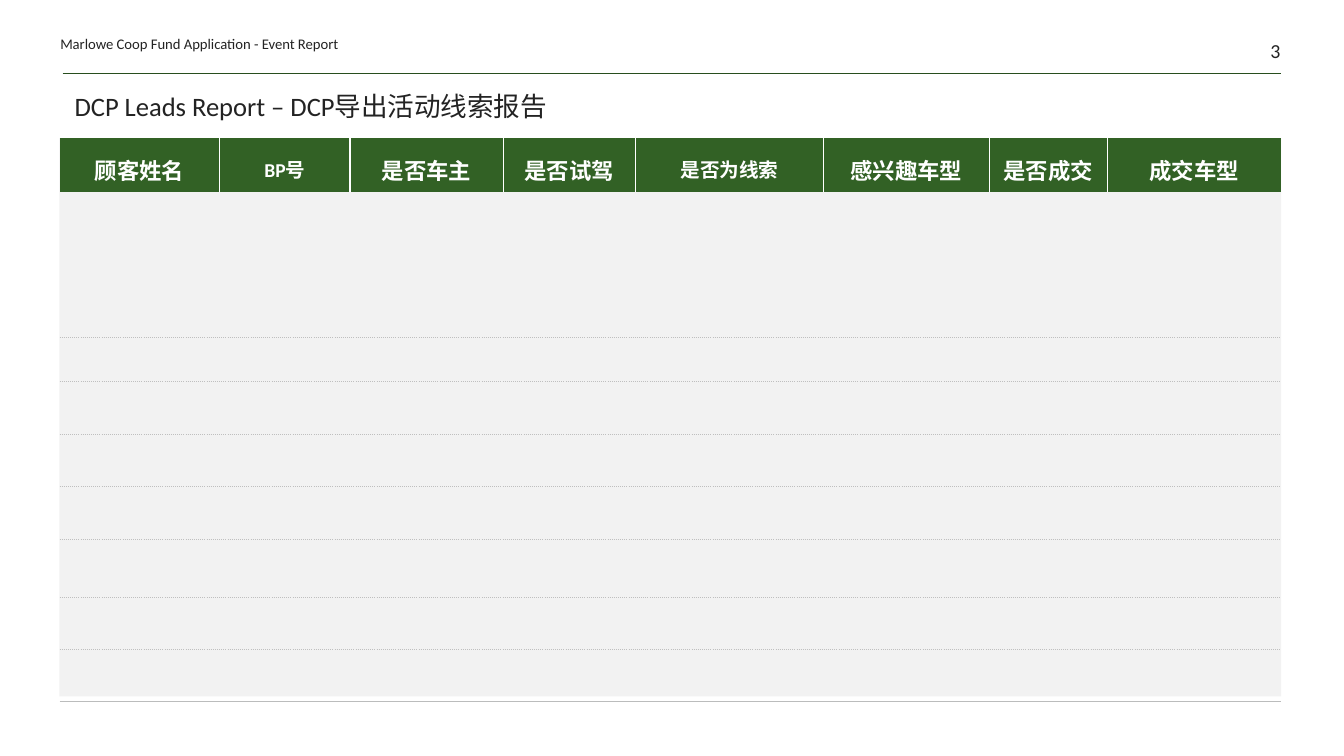
from lxml import etree
from pptx import Presentation
from pptx.dml.color import RGBColor
from pptx.enum.shapes import MSO_CONNECTOR, MSO_SHAPE
from pptx.enum.text import MSO_ANCHOR, PP_ALIGN
from pptx.oxml.ns import qn
from pptx.util import Cm, Pt

LEFT, CENTER, RIGHT = PP_ALIGN.LEFT, PP_ALIGN.CENTER, PP_ALIGN.RIGHT
BOTTOM, MIDDLE = MSO_ANCHOR.BOTTOM, MSO_ANCHOR.MIDDLE
STRAIGHT, RECTANGLE = MSO_CONNECTOR.STRAIGHT, MSO_SHAPE.RECTANGLE
NO_GRID_STYLE = "{2D5ABB26-0587-4C30-8999-92F81FD0307C}"
FONT = "Calibri"
COLORS = {"ink": "232323", "rule": "284E1E", "header": "326125", "panel": "F2F2F2",
          "white": "FFFFFF", "dots": "BFBFBF", "base": "BBBCBC"}

COLUMNS = [
    ("顾客姓名", 16, 4.04), ("BP号", 14, 3.28), ("是否车主", 16, 3.86), ("是否试驾", 16, 3.33),
    ("是否为线索", 14, 4.75), ("感兴趣车型", 16, 4.17), ("是否成交", 16, 2.97), ("成交车型", 16, 4.39),
]
ROW_HEIGHTS = [1.36, 1.17, 1.37, 1.12, 1.11, 1.33, 1.32, 1.32, 1.46, 1.32, 1.32]
FIRST_DOTTED_ROW = 3
TABLE_LEFT, TABLE_TOP = 1.5, 3.48
TABLE_WIDTH = sum(width for _, _, width in COLUMNS)
TABLE_RIGHT = TABLE_LEFT + TABLE_WIDTH
PANEL_HEIGHT = 14.07
RULE_LEFT, RULE_TOP = 1.58, 1.85

TEXTS = [
    {"text": "DCP Leads Report – DCP导出活动线索报告", "box": (1.63, 1.88, 30.66, 1.32),
     "size": 19, "align": LEFT, "inset": (0.25, 0.13), "spacing": 0.85},
    {"text": "3", "box": (30.15, 0, 2.12, 1.57),
     "size": 14.2, "align": RIGHT, "inset": (0, 0), "spacing": 1},
    {"text": "Marlowe Coop Fund Application - Event Report", "box": (1.52, 0.74, 10.59, 0.58),
     "size": 10.5, "align": LEFT, "inset": (0, 0), "spacing": 1},
]


def rgb(name):
    return RGBColor.from_string(COLORS[name])


def apply(target, values):
    for key, value in values.items():
        setattr(target, key, value)


def margins(across, down):
    return {"margin_left": Cm(across), "margin_right": Cm(across),
            "margin_top": Cm(down), "margin_bottom": Cm(down)}


def write(frame, text, size, color, align, spacing, bold=False):
    paragraph = frame.paragraphs[0]
    apply(paragraph, {"alignment": align, "line_spacing": spacing})
    run = paragraph.add_run()
    run.text = text
    apply(run.font, {"name": FONT, "size": Pt(size), "bold": bold})
    run.font.color.rgb = rgb(color)


def set_borders(cell, borders):
    properties = cell._tc.get_or_add_tcPr()
    for index, (side, color, points, dash) in enumerate(borders):
        line = etree.Element(qn(f"a:ln{side}"), w=str(Pt(points)))
        fill = etree.SubElement(line, qn("a:solidFill"))
        etree.SubElement(fill, qn("a:srgbClr"), val=COLORS[color])
        etree.SubElement(line, qn("a:prstDash"), val=dash)
        properties.insert(index, line)


deck = Presentation()
apply(deck, {"slide_width": Cm(33.87), "slide_height": Cm(19.05)})
slide = deck.slides.add_slide(deck.slide_layouts[6])

header_rule = slide.shapes.add_connector(
    STRAIGHT, Cm(RULE_LEFT), Cm(RULE_TOP), Cm(TABLE_RIGHT), Cm(RULE_TOP))
header_rule.line.color.rgb = rgb("rule")
header_rule.line.width = Pt(0.5)
etree.SubElement(header_rule._element.spPr, qn("a:effectLst"))

panel = slide.shapes.add_shape(
    RECTANGLE, Cm(TABLE_LEFT), Cm(TABLE_TOP), Cm(TABLE_WIDTH), Cm(PANEL_HEIGHT))
panel.shadow.inherit = False
panel.fill.solid()
panel.fill.fore_color.rgb = rgb("panel")
panel.line.fill.background()

for item in TEXTS:
    frame = slide.shapes.add_textbox(*map(Cm, item["box"])).text_frame
    apply(frame, {"word_wrap": True, "vertical_anchor": BOTTOM, **margins(*item["inset"])})
    write(frame, item["text"], item["size"], "ink", item["align"], item["spacing"])

leads = slide.shapes.add_table(
    len(ROW_HEIGHTS), len(COLUMNS), Cm(TABLE_LEFT), Cm(TABLE_TOP),
    Cm(TABLE_WIDTH), Cm(sum(ROW_HEIGHTS))).table
leads._tbl.tblPr.find(qn("a:tableStyleId")).text = NO_GRID_STYLE
apply(leads, {"first_row": False, "horz_banding": False})

for row, height in zip(leads.rows, ROW_HEIGHTS):
    row.height = Cm(height)

last_row, last_column = len(ROW_HEIGHTS) - 1, len(COLUMNS) - 1
for c, (heading, size, width) in enumerate(COLUMNS):
    leads.columns[c].width = Cm(width)
    head = leads.cell(0, c)
    apply(head, {"vertical_anchor": MIDDLE, **margins(0.3, 0.15)})
    head.fill.solid()
    head.fill.fore_color.rgb = rgb("header")
    write(head.text_frame, heading, size, "white", CENTER, 1.3, bold=True)
    sides = [side for side, shown in (("L", c > 0), ("R", c < last_column)) if shown]
    set_borders(head, [(side, "white", 1, "solid") for side in sides])
    for r in range(1, last_row + 1):
        cell = leads.cell(r, c)
        cell.fill.background()
        borders = []
        if r > FIRST_DOTTED_ROW:
            borders.append(("T", "dots", 0.25, "sysDot"))
        if r == last_row:
            borders.append(("B", "base", 0.5, "solid"))
        elif r >= FIRST_DOTTED_ROW:
            borders.append(("B", "dots", 0.25, "sysDot"))
        set_borders(cell, borders)

deck.save("out.pptx")
